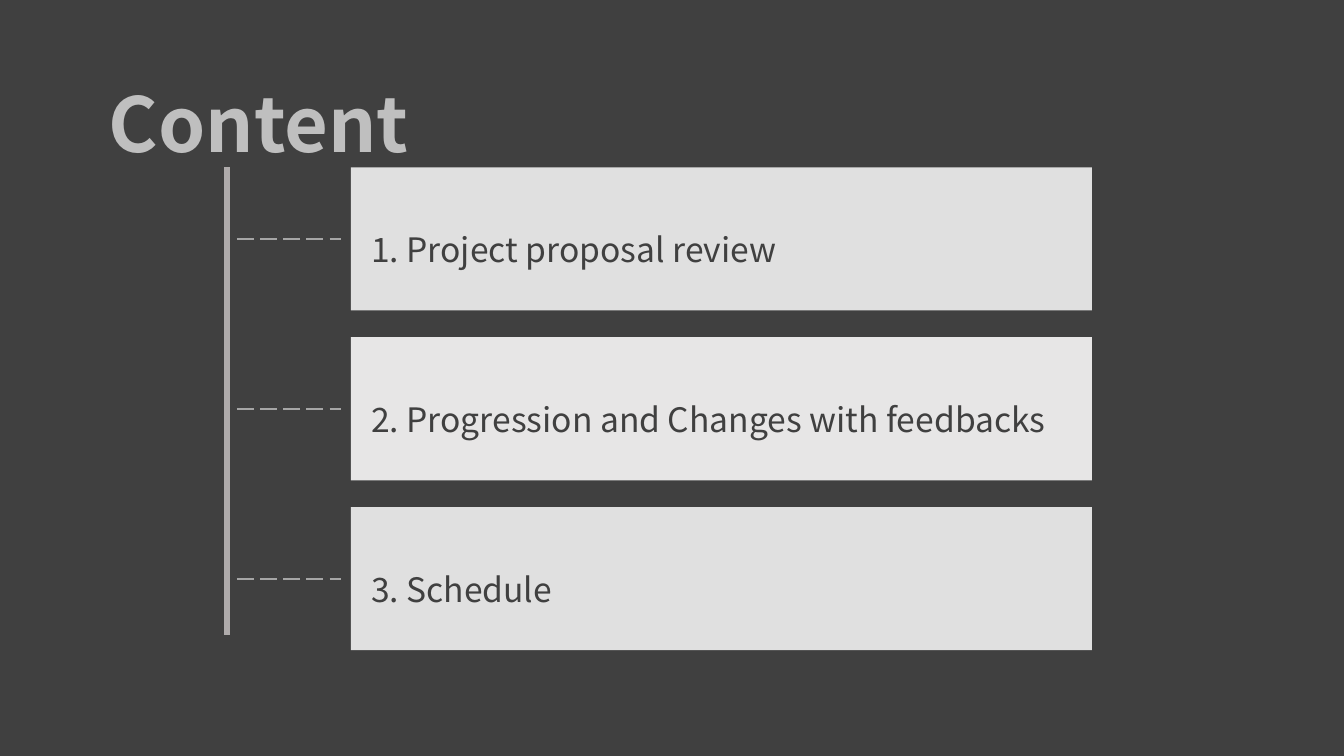
from dataclasses import dataclass

from lxml.etree import SubElement
from pptx import Presentation
from pptx.dml.color import RGBColor
from pptx.enum.dml import MSO_LINE
from pptx.enum.shapes import MSO_CONNECTOR, MSO_SHAPE
from pptx.enum.text import MSO_ANCHOR, MSO_AUTO_SIZE, PP_ALIGN
from pptx.oxml.ns import qn
from pptx.slide import Slide
from pptx.text.text import TextFrame
from pptx.util import Inches, Pt

FONT = "Noto Sans CJK KR"
DARK = "404040"
CARD_LEFT, CARD_TOP = 3.48, 1.66
CARD_WIDTH, CARD_HEIGHT = 7.35, 1.42
CARD_STEP = 1.685
RAIL_X, RAIL_BOTTOM = 2.25, 6.3
BRANCH_GAP = 0.1


@dataclass
class Topic:
    text: str
    fill: str


TOPICS = [
    Topic("1. Project proposal review", "E0E0E0"),
    Topic("2. Progression and Changes with feedbacks", "E7E6E6"),
    Topic("3. Schedule", "E0E0E0"),
]


def rgb(value: str) -> RGBColor:
    return RGBColor.from_string(value)


def write(tf: TextFrame, text: str, *, size: float, color: str,
          bold: bool = False) -> None:
    tf.word_wrap = True
    p = tf.paragraphs[0]
    p.alignment = PP_ALIGN.LEFT
    p.line_spacing = 1.5
    r = p.add_run()
    r.text = text
    r.font.name = FONT
    r.font.size = Pt(size)
    r.font.bold = bold
    r.font.color.rgb = rgb(color)


def add_line(s: Slide, x1: float, y1: float, x2: float, y2: float, *,
             color: str, width: float, dash: MSO_LINE | None = None) -> None:
    sp = s.shapes.add_connector(MSO_CONNECTOR.STRAIGHT, Inches(x1), Inches(y1),
                                Inches(x2), Inches(y2))
    sp.line.color.rgb = rgb(color)
    sp.line.width = Pt(width)
    if dash is not None:
        sp.line.dash_style = dash
    SubElement(sp._element.spPr, qn("a:effectLst"))


def add_title(s: Slide, text: str) -> None:
    sp = s.shapes.add_textbox(Inches(0.98), Inches(0.26), Inches(5.28), Inches(1.29))
    write(sp.text_frame, text, size=54, color="BFBFBF", bold=True)
    sp.text_frame.auto_size = MSO_AUTO_SIZE.SHAPE_TO_FIT_TEXT


def add_topic(s: Slide, topic: Topic, top: float) -> None:
    sp = s.shapes.add_shape(MSO_SHAPE.RECTANGLE, Inches(CARD_LEFT), Inches(top),
                            Inches(CARD_WIDTH), Inches(CARD_HEIGHT))
    sp.shadow.inherit = False
    sp.fill.solid()
    sp.fill.fore_color.rgb = rgb(topic.fill)
    sp.line.fill.background()
    tf = sp.text_frame
    tf.margin_left = Inches(0.2)
    tf.vertical_anchor = MSO_ANCHOR.MIDDLE
    write(tf, topic.text, size=24, color=DARK)


def main() -> None:
    prs = Presentation()
    prs.slide_width = Inches(13.33)
    prs.slide_height = Inches(7.5)
    s = prs.slides.add_slide(prs.slide_layouts[6])
    s.background.fill.solid()
    s.background.fill.fore_color.rgb = rgb(DARK)

    tops = [CARD_TOP + i * CARD_STEP for i in range(len(TOPICS))]
    for topic, top in zip(TOPICS, tops):
        add_topic(s, topic, top)
    add_title(s, "Content")
    add_line(s, RAIL_X, CARD_TOP, RAIL_X, RAIL_BOTTOM, color="AFABAB", width=4.5)
    for top in tops:
        y = top + CARD_HEIGHT / 2
        add_line(s, RAIL_X + BRANCH_GAP, y, CARD_LEFT - BRANCH_GAP, y,
                 color="A6A6A6", width=1.5, dash=MSO_LINE.LONG_DASH)

    prs.save("out.pptx")


if __name__ == "__main__":
    main()
